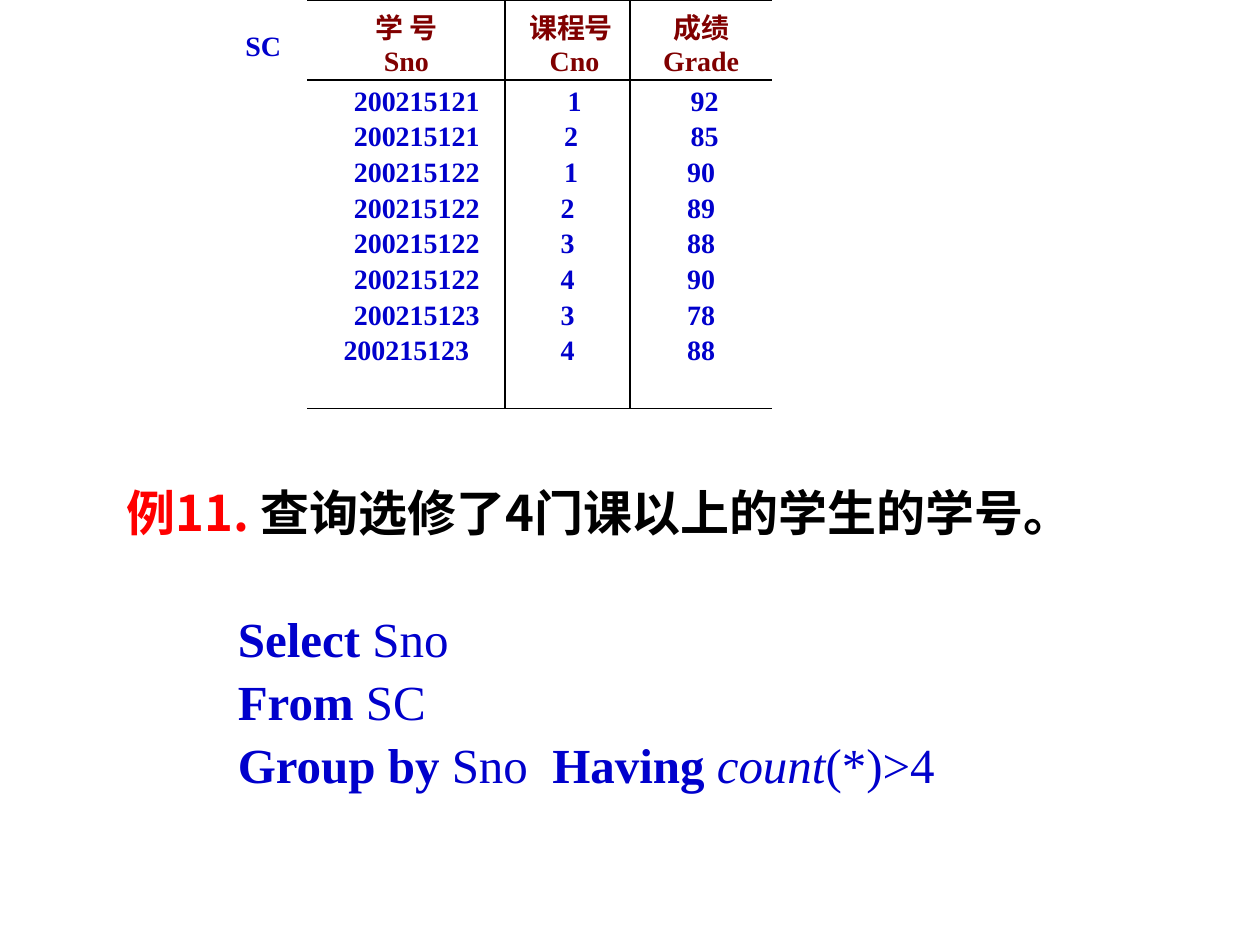
from lxml import etree
from pptx import Presentation
from pptx import util as u
from pptx.dml.color import RGBColor
from pptx.enum import text
from pptx.oxml.ns import qn

COLORS = {"blue": "0000CC", "maroon": "800000", "red": "FF0000", "black": "000000"}
SERIF, SANS = "Times New Roman", "Noto Sans CJK JP"
SPACE = 0.055  # width of one 16 pt space, in inches


def add_span(para, words, size, color, bold=True, italic=False, font=SERIF):
    span = para.add_run()
    span.text = words
    span.font.size = u.Pt(size)
    span.font.bold, span.font.italic = bold, italic
    span.font.name = font
    span.font.color.rgb = RGBColor.from_string(COLORS[color])
    east_asian = etree.SubElement(span.font._element, qn("a:ea"))
    east_asian.set("typeface", SANS)


def set_borders(cell, sides):
    """Draw black borders on the given sides (of "LRTB") and clear the others."""
    properties = cell._tc.get_or_add_tcPr()
    for position, side in enumerate("LRTB"):
        line = etree.Element(qn(f"a:ln{side}"), w=str(u.Pt(1)))
        if side in sides:
            fill = etree.SubElement(line, qn("a:solidFill"))
            etree.SubElement(fill, qn("a:srgbClr"), val=COLORS["black"])
        else:
            etree.SubElement(line, qn("a:noFill"))
        properties.insert(position, line)


deck = Presentation()
deck.slide_width, deck.slide_height = u.Inches(10), u.Inches(7.5)
page = deck.slides.add_slide(deck.slide_layouts[6])

# Question and its SQL answer
query_box = page.shapes.add_textbox(u.Inches(0.91), u.Inches(3.75), u.Inches(8.67), u.Inches(2.57))
query_box.text_frame.word_wrap = True
question = query_box.text_frame.paragraphs[0]
question.line_spacing = u.Pt(36)
add_span(question, "例11. ", 28, "red", font=SANS)
add_span(question, "查询选修了4门课以上的学生的学号。", 28, "black", font=SANS)

# Each part: words, bold, italic
sql_lines = [
    [("Select", True, False), (" Sno", False, False)],
    [("From", True, False), (" SC", False, False)],
    [("Group by ", True, False), ("Sno  ", False, False), ("Having ", True, False),
     ("count", False, True), ("(*)>4", False, False)],
]
for number, parts in enumerate(sql_lines):
    para = query_box.text_frame.add_paragraph()
    para.line_spacing = u.Pt(36)
    para.space_before = u.Pt(0 if number else 36)
    para._p.get_or_add_pPr().set("marL", str(u.Inches(0.88)))
    for words, bold, italic in parts:
        add_span(para, words, 28, "blue", bold, italic)

# Table name
name_box = page.shapes.add_textbox(u.Inches(1.85), u.Inches(0.15), u.Inches(0.64), u.Inches(0.34))
name_box.text_frame.word_wrap = True
name_para = name_box.text_frame.paragraphs[0]
name_para.line_spacing = 1.1
add_span(name_para, "SC", 16, "blue")

# Each column: width, borders, header lines, values, and the indents
# (in spaces) of the header lines and of the values
columns = [
    (1.57, "RTB", ["学 号", "Sno"],
     ["200215121"] * 2 + ["200215122"] * 4 + ["200215123"] * 2,
     [0, 0], [3] * 7 + [0]),
    (0.99, "LRTB", ["课程号", "Cno"], list("12123434"),
     [1, 2], [2, 1, 1] + [0] * 5),
    (1.13, "LTB", ["成绩", "Grade"], ["92", "85", "90", "89", "88", "90", "78", "88"],
     [0, 0], [1, 1] + [0] * 6),
]
frame = page.shapes.add_table(2, 3, u.Inches(2.44), 0, u.Inches(3.69), u.Inches(3.24))
table = frame.table
table.first_row = table.horz_banding = False
table.rows[0].height, table.rows[1].height = u.Inches(0.63), u.Inches(2.61)

for index, (width, sides, header, values, header_indents, value_indents) in enumerate(columns):
    table.columns[index].width = u.Inches(width)
    rows = [(header, header_indents, "maroon", 0), (values, value_indents, "blue", 2.6)]
    for row, (lines, indents, color, gap) in enumerate(rows):
        cell = table.cell(row, index)
        cell.fill.background()
        set_borders(cell, sides)
        for number, (words, indent) in enumerate(zip(lines, indents)):
            frame_text = cell.text_frame
            para = frame_text.add_paragraph() if number else frame_text.paragraphs[0]
            para.alignment = text.PP_ALIGN.CENTER
            para.space_before = u.Pt(gap)
            para._p.get_or_add_pPr().set("marL", str(u.Inches(SPACE * indent)))
            add_span(para, words, 16, color)

deck.save("out.pptx")
